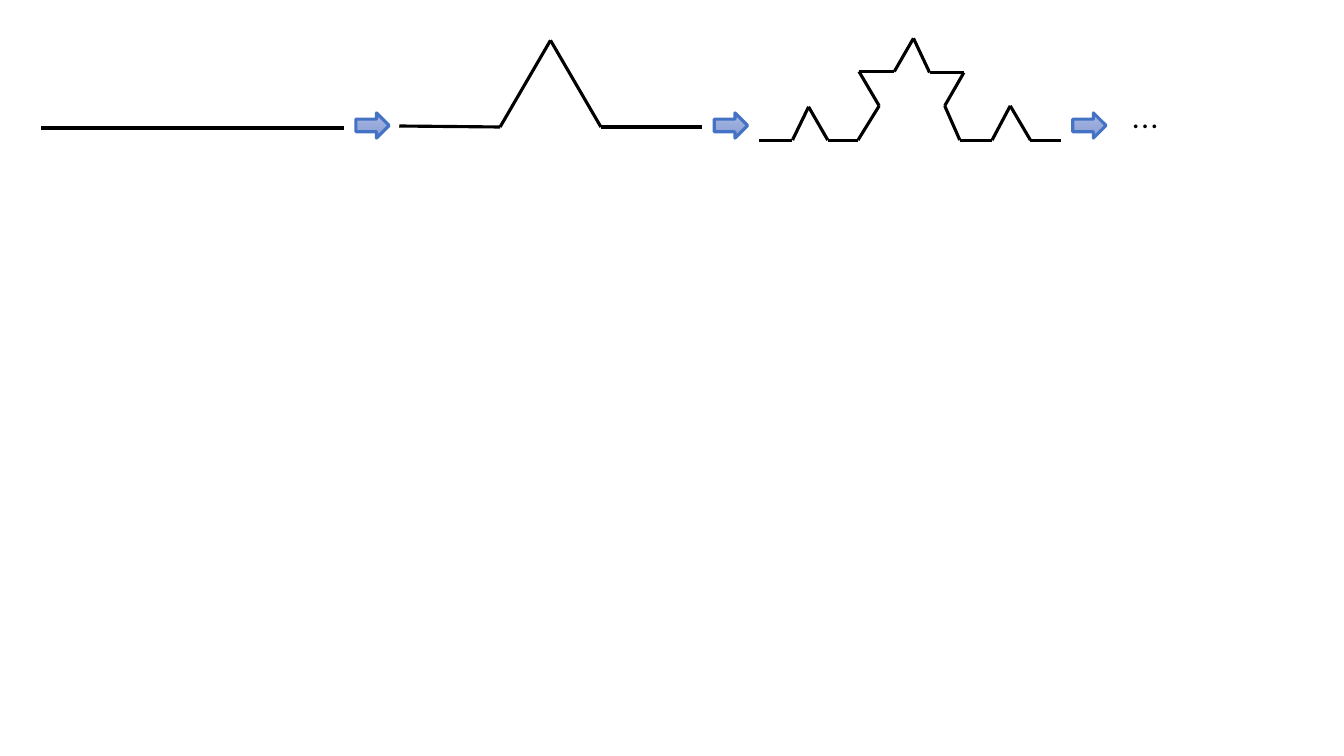
from dataclasses import dataclass
from itertools import pairwise

from lxml import etree
from pptx import Presentation
from pptx.dml.color import RGBColor
from pptx.enum.shapes import MSO_CONNECTOR, MSO_SHAPE
from pptx.enum.text import PP_ALIGN
from pptx.oxml.ns import qn
from pptx.util import Inches, Pt

STRAIGHT = MSO_CONNECTOR.STRAIGHT
RIGHT_ARROW = MSO_SHAPE.RIGHT_ARROW
JUSTIFY = PP_ALIGN.JUSTIFY


@dataclass(frozen=True)
class Theme:
    curve = RGBColor(0x00, 0x00, 0x00)
    arrow_edge = RGBColor(0x44, 0x72, 0xC4)
    arrow_shades = (RGBColor(0xA8, 0xB7, 0xDF), RGBColor(0x88, 0x9E, 0xD7))
    stroke = Pt(2.25)
    font = "Noto Sans CJK JP"
    text_size = Pt(20)


# Content: corner points of each Koch curve stage, in inches
STAGES = [
    [(0.41, 1.27), (3.41, 1.27)],
    [(3.96, 1.25), (4.96, 1.26), (5.46, 0.4), (5.96, 1.26), (6.96, 1.26)],
    [(7.53, 1.39), (7.86, 1.39), (8.02, 1.06), (8.21, 1.39),
     (8.51, 1.39), (8.72, 1.05), (8.52, 0.71), (8.87, 0.71),
     (9.06, 0.38), (9.22, 0.72), (9.56, 0.72), (9.37, 1.05),
     (9.52, 1.39), (9.84, 1.39), (10.02, 1.05), (10.22, 1.39), (10.52, 1.39)],
]
CONTINUATION = "…"

# Layout: the arrows follow the stages at an equal pitch
ARROW_LEFT, ARROW_TOP, ARROW_PITCH = 3.53, 1.12, 3.555
ARROW_SIZE = (0.33, 0.25)
CONTINUATION_BOX = (11.05, 1.04, 0.6, 0.54)
CONTINUATION_INDENT = Inches(0.07)


def draw_stage(shapes, corners):
    for start, end in pairwise(corners):
        segment = shapes.add_connector(STRAIGHT, *map(Inches, start + end))
        segment.line.color.rgb = Theme.curve
        segment.line.width = Theme.stroke
        etree.SubElement(segment._element.spPr, qn("a:effectLst"))


def draw_arrow(shapes, left):
    arrow = shapes.add_shape(
        RIGHT_ARROW, *map(Inches, (left, ARROW_TOP) + ARROW_SIZE))
    arrow.shadow.inherit = False
    arrow.fill.gradient()
    arrow.fill.gradient_angle = 270
    for stop, shade in zip(arrow.fill.gradient_stops, Theme.arrow_shades):
        stop.color.rgb = shade
    arrow.line.color.rgb = Theme.arrow_edge
    arrow.line.width = Theme.stroke


def draw_continuation(shapes):
    box = shapes.add_textbox(*map(Inches, CONTINUATION_BOX))
    box.text_frame.word_wrap = True
    paragraph = box.text_frame.paragraphs[0]
    paragraph.alignment = JUSTIFY
    paragraph._p.get_or_add_pPr().set("indent", str(CONTINUATION_INDENT))
    dots = paragraph.add_run()
    dots.text = CONTINUATION
    dots.font.size = Theme.text_size
    dots.font.name = Theme.font
    dots.font.color.rgb = Theme.curve
    # East Asian typeface for the ellipsis
    etree.SubElement(dots._r.get_or_add_rPr(), qn("a:ea"), typeface=Theme.font)


def main():
    deck = Presentation()
    deck.slide_width, deck.slide_height = Inches(13.33), Inches(7.5)
    slide = deck.slides.add_slide(deck.slide_layouts[6])
    sequence = slide.shapes.add_group_shape().shapes

    for step, corners in enumerate(STAGES):
        draw_stage(sequence, corners)
        draw_arrow(sequence, ARROW_LEFT + step * ARROW_PITCH)
    draw_continuation(sequence)

    deck.save("out.pptx")


if __name__ == "__main__":
    main()
